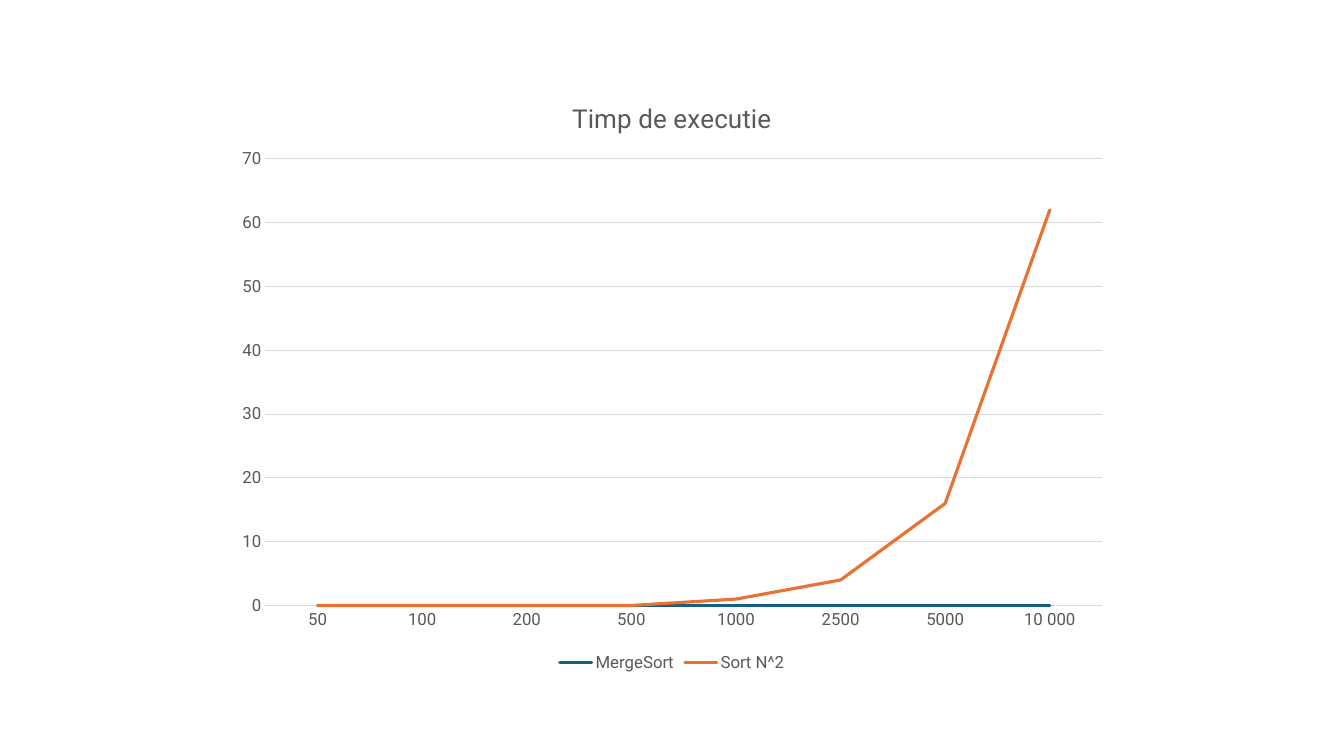
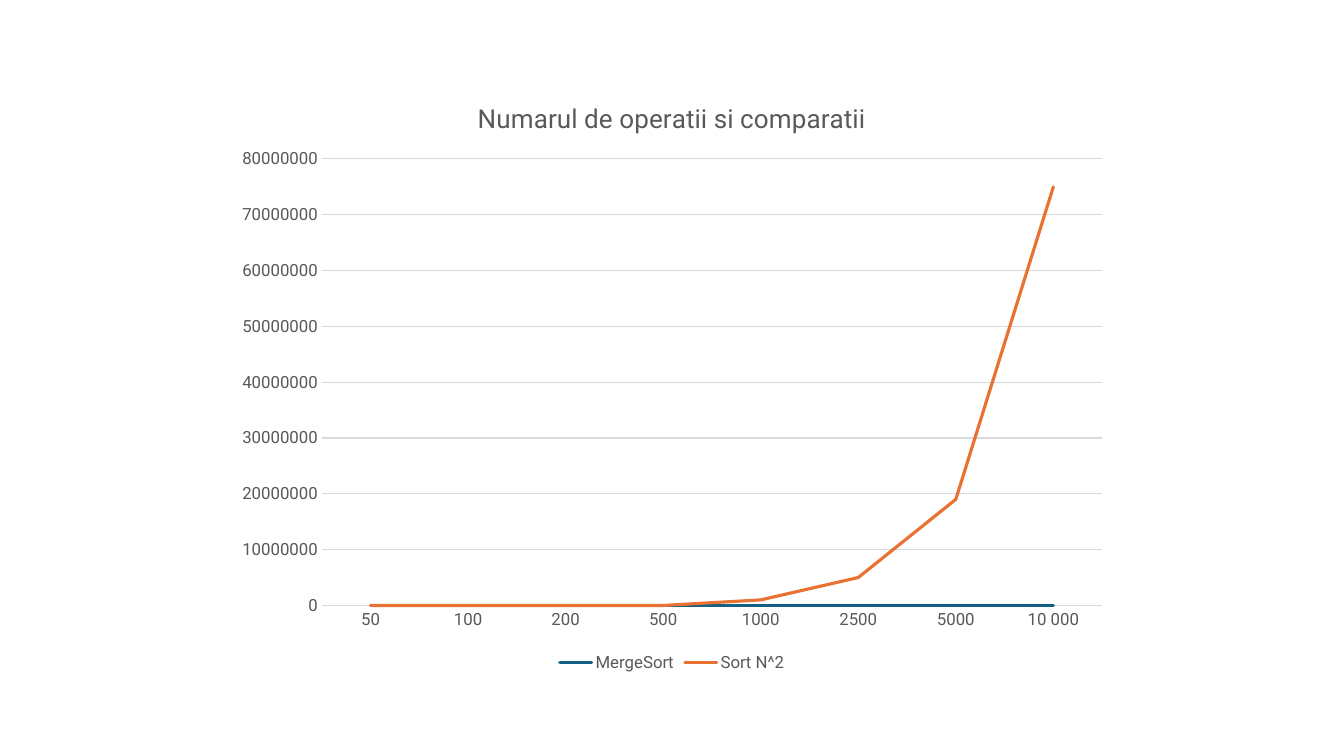
import dataclasses

import pptx
import pptx.chart.data
import pptx.dml.color
import pptx.enum.chart
import pptx.oxml
import pptx.oxml.ns
import pptx.util

SLIDE_WIDTH = pptx.util.Inches(13.33)
SLIDE_HEIGHT = pptx.util.Inches(7.5)
FONT_NAME = "Roboto"
TEXT_COLOR = "595959"
GRID_COLOR = "D9D9D9"
SERIES_COLORS = {"MergeSort": "156082", "Sort N^2": "E97132"}
INPUT_SIZES = ("50", "100", "200", "500", "1000", "2500", "5000", "10 000")
CHART_WIDTH = SLIDE_WIDTH * 2 / 3
CHART_HEIGHT = SLIDE_HEIGHT * 0.79
PLOT_RIGHT = pptx.util.Inches(8.71)
PLOT_TOP = pptx.util.Inches(0.79)
PLOT_HEIGHT = pptx.util.Inches(4.43)


@dataclasses.dataclass(frozen=True)
class Comparison:
    title: str
    merge_sort: tuple[int, ...]
    quadratic_sort: tuple[int, ...]
    axis_maximum: int
    axis_step: int
    plot_left: pptx.util.Length


COMPARISONS = (
    Comparison(
        "Timp de executie",
        (0, 0, 0, 0, 0, 0, 0, 0),
        (0, 0, 0, 0, 1, 4, 16, 62),
        70, 10, pptx.util.Inches(0.41),
    ),
    Comparison(
        "Numarul de operatii si comparatii",
        (0, 0, 0, 0, 0, 0, 0, 0),
        (0, 0, 0, 0, 1000000, 5000000, 19000000, 75000000),
        80000000, 10000000, pptx.util.Inches(0.97),
    ),
)


def rgb(color: str) -> pptx.dml.color.RGBColor:
    return pptx.dml.color.RGBColor.from_string(color)


def style_font(font, size: float) -> None:
    font.name = FONT_NAME
    font.size = pptx.util.Pt(size)
    font.bold = False
    font.color.rgb = rgb(TEXT_COLOR)


def style_line(line, color: str, width: float) -> None:
    line.color.rgb = rgb(color)
    line.width = pptx.util.Pt(width)


def style_axis(axis) -> None:
    axis.major_tick_mark = pptx.enum.chart.XL_TICK_MARK.NONE
    axis.minor_tick_mark = pptx.enum.chart.XL_TICK_MARK.NONE
    style_font(axis.tick_labels.font, 12)


def place_plot(chart, left: pptx.util.Length) -> None:
    plot_area = chart.plots[0]._element.getparent()
    for existing in plot_area.findall(pptx.oxml.ns.qn("c:layout")):
        plot_area.remove(existing)
    shares = {
        "x": left / CHART_WIDTH,
        "y": PLOT_TOP / CHART_HEIGHT,
        "w": (PLOT_RIGHT - left) / CHART_WIDTH,
        "h": PLOT_HEIGHT / CHART_HEIGHT,
    }
    modes = '<c:xMode val="edge"/><c:yMode val="edge"/>'
    sizes = "".join(f'<c:{key} val="{share}"/>' for key, share in shares.items())
    plot_area.insert(0, pptx.oxml.parse_xml(
        f'<c:layout {pptx.oxml.ns.nsdecls("c")}><c:manualLayout>'
        f'<c:layoutTarget val="inner"/>{modes}{sizes}'
        "</c:manualLayout></c:layout>"
    ))


def add_comparison(deck, comparison: Comparison) -> None:
    slide = deck.slides.add_slide(deck.slide_layouts[6])
    measurements = pptx.chart.data.CategoryChartData()
    measurements.categories = INPUT_SIZES
    for name, values in zip(
        SERIES_COLORS, (comparison.merge_sort, comparison.quadratic_sort)
    ):
        measurements.add_series(name, values)
    chart = slide.shapes.add_chart(
        pptx.enum.chart.XL_CHART_TYPE.LINE,
        round((SLIDE_WIDTH - CHART_WIDTH) / 2),
        round((SLIDE_HEIGHT - CHART_HEIGHT) / 2),
        round(CHART_WIDTH),
        round(CHART_HEIGHT),
        measurements,
    ).chart
    style_font(chart.font, 10)

    chart.has_title = True
    heading = chart.chart_title.text_frame
    heading.text = comparison.title
    style_font(heading.paragraphs[0].font, 18.6)
    chart.chart_title.include_in_layout = False

    chart.has_legend = True
    chart.legend.position = pptx.enum.chart.XL_LEGEND_POSITION.BOTTOM
    chart.legend.include_in_layout = False
    style_font(chart.legend.font, 12)

    sizes_axis, results_axis = chart.category_axis, chart.value_axis
    style_axis(sizes_axis)
    style_axis(results_axis)
    style_line(sizes_axis.format.line, GRID_COLOR, 0.75)
    results_axis.format.line.fill.background()
    results_axis.has_major_gridlines = True
    style_line(results_axis.major_gridlines.format.line, GRID_COLOR, 0.75)
    results_axis.minimum_scale = 0
    results_axis.maximum_scale = comparison.axis_maximum
    results_axis.major_unit = comparison.axis_step
    results_axis.tick_labels.number_format = "0"
    results_axis.tick_labels.number_format_is_linked = False

    chart.plots[0].vary_by_categories = False
    for series in chart.plots[0].series:
        series.smooth = False
        style_line(series.format.line, SERIES_COLORS[series.name], 2.25)
        series.format.line._get_or_add_ln().set("cap", "rnd")
    place_plot(chart, comparison.plot_left)


def main() -> None:
    deck = pptx.Presentation()
    deck.slide_width = SLIDE_WIDTH
    deck.slide_height = SLIDE_HEIGHT
    background = deck.slide_master.background.fill
    background.solid()
    background.fore_color.rgb = rgb("FFFFFF")
    for comparison in COMPARISONS:
        add_comparison(deck, comparison)
    deck.save("out.pptx")


if __name__ == "__main__":
    main()
